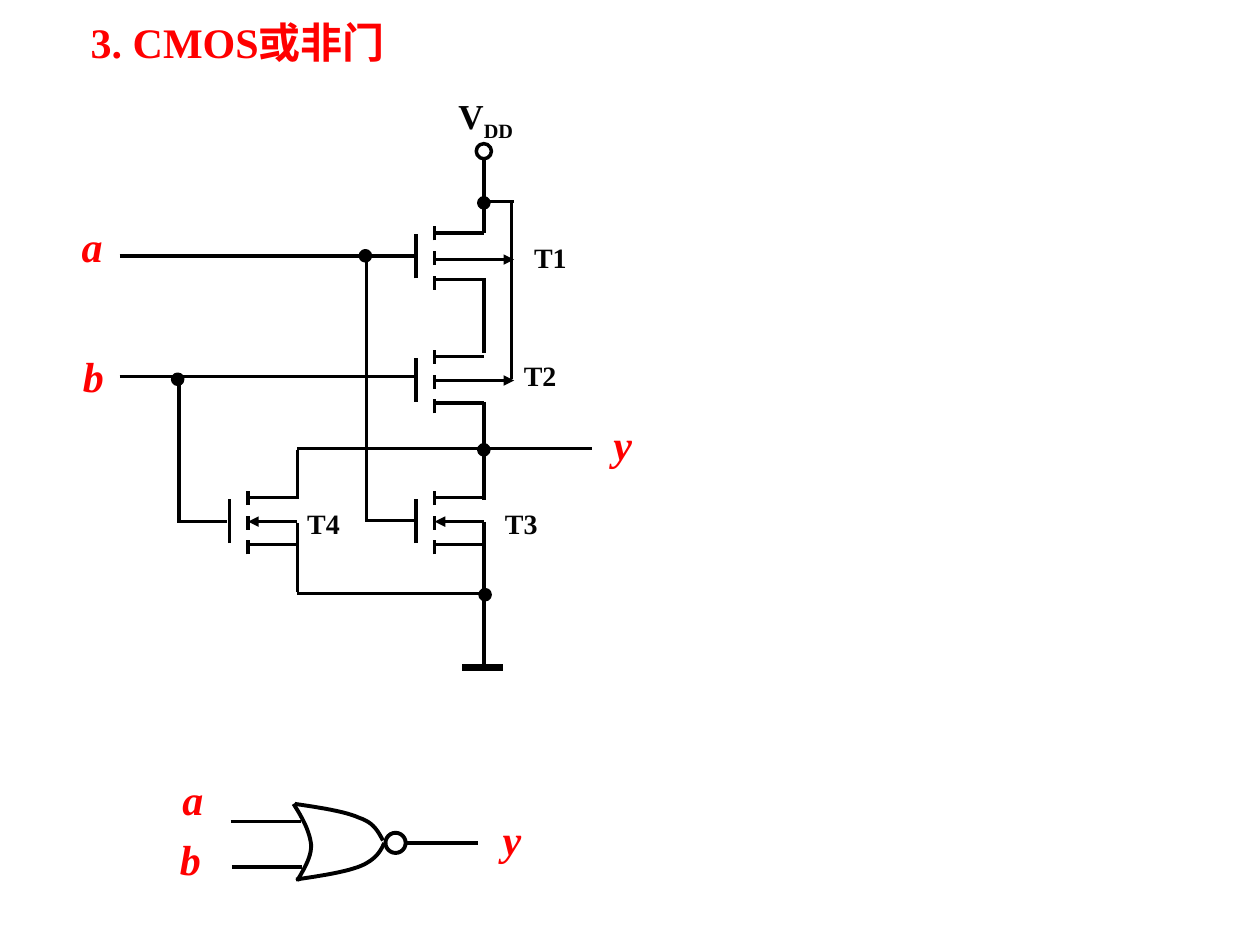
from dataclasses import dataclass

from lxml import etree
from pptx import Presentation
from pptx.dml.color import RGBColor
from pptx.enum import dml, shapes, text
from pptx.oxml import ns
from pptx.util import Inches, Pt

RED, INK, BLACK, WHITE = "FF0000", "040404", "000000", "FFFFFF"
FONT = "Times New Roman"


@dataclass
class Mos:
    """A transistor: channel x, centre y, arrow y and channel type."""
    x: float
    y: float
    arrow: float
    p_type: bool


@dataclass
class Label:
    words: str
    x: float
    y: float
    w: float = 0.56
    h: float = 0.7


def color(code: str) -> RGBColor:
    return RGBColor.from_string(code)


def write(frame, words: str, size: float = 24, ink: str = RED,
          italic: bool = False, wrap: bool = True, sub: str = "") -> None:
    frame.word_wrap = wrap
    frame.auto_size = text.MSO_AUTO_SIZE.NONE
    frame.vertical_anchor = text.MSO_ANCHOR.TOP
    para = frame.paragraphs[0]
    para.alignment = text.PP_ALIGN.LEFT
    for part in filter(None, (words, sub)):
        run = para.add_run()
        run.text = part
        font = run.font
        font.name, font.size, font.bold, font.italic = FONT, Pt(size), True, italic
        font.color.rgb = color(ink)
        if part == sub:
            font._element.set("baseline", "-25000")


def label(slide, item: Label, **style) -> None:
    box = slide.shapes.add_textbox(*map(Inches, (item.x, item.y, item.w, item.h)))
    write(box.text_frame, item.words, **style)


def wire(slide, x1: float, y1: float, x2: float, y2: float,
         width: float = 2, dash: bool = False, arrow: bool = False) -> None:
    line = slide.shapes.add_connector(
        shapes.MSO_CONNECTOR.STRAIGHT, *map(Inches, (x1, y1, x2, y2)))
    line.line.color.rgb = color(BLACK)
    line.line.width = Pt(width)
    if dash:
        line.line.dash_style = dml.MSO_LINE.DASH
    if arrow:
        etree.SubElement(line.line._get_or_add_ln(), ns.qn("a:tailEnd"), type="triangle")
    etree.SubElement(line._element.spPr, ns.qn("a:effectLst"))


def ring(slide, x: float, y: float, size: float,
         fill: str = "", width: float = 2) -> None:
    """Draw a circle around the centre x, y."""
    dot = slide.shapes.add_shape(
        shapes.MSO_SHAPE.OVAL, *map(Inches, (x - size / 2, y - size / 2, size, size)))
    dot.shadow.inherit = False
    if fill:
        dot.fill.solid()
        dot.fill.fore_color.rgb = color(fill)
    else:
        dot.fill.background()
    dot.line.color.rgb = color(BLACK)
    dot.line.width = Pt(width)


def mos(slide, part: Mos) -> None:
    x, y, end = part.x, part.y, part.x + 0.39
    wire(slide, x - 0.15, y + 0.18, x - 0.15, y - 0.17)
    wire(slide, x, y + 0.27, x, y - 0.27, dash=True)
    for lead in (y - 0.18, y + 0.19):
        wire(slide, x, lead, end, lead)
    if part.p_type:
        wire(slide, x, part.arrow, 4.08, part.arrow, arrow=True)
    else:
        wire(slide, end, part.arrow, x, part.arrow, arrow=True)


def curve(slide, *knots: tuple, steps: int = 12) -> None:
    """Draw joined cubic arcs: a start, then three points for each arc."""
    points = []
    for first in range(0, len(knots) - 1, 3):
        arc = knots[first:first + 4]
        for step in range(1, steps + 1):
            t = step / steps
            mix = ((1 - t) ** 3, 3 * t * (1 - t) ** 2, 3 * t * t * (1 - t), t ** 3)
            points.append(tuple(
                Inches(sum(m * knot[axis] for m, knot in zip(mix, arc)))
                for axis in (0, 1)))
    path = slide.shapes.build_freeform(*map(Inches, knots[0]))
    path.add_line_segments(points, close=False)
    edge = path.convert_to_shape()
    edge.shadow.inherit = False
    edge.fill.background()
    edge.line.color.rgb = color(BLACK)
    edge.line.width = Pt(2.25)


def circuit(slide) -> None:
    # Transistors T1 to T4
    for part in (Mos(3.45, 2.03, 2.06, True), Mos(3.45, 3.01, 3.02, True),
                 Mos(3.45, 4.13, 4.14, False), Mos(1.97, 4.13, 4.14, False)):
        mos(slide, part)

    # Wires: inputs, supply, output, ground
    for ends in (
        (0.95, 2.03, 3.3, 2.03), (2.91, 4.14, 2.91, 2.03), (2.91, 4.13, 3.3, 4.13),
        (0.95, 2.99, 3.3, 2.99), (1.42, 4.15, 1.42, 2.99), (1.42, 4.14, 1.8, 4.14),
        (3.84, 1.85, 3.84, 1.26), (3.84, 1.6, 4.08, 1.6), (4.06, 3.01, 4.06, 1.6),
        (3.84, 2.8, 3.84, 2.21), (3.84, 3.19, 3.84, 3.97), (2.36, 3.56, 4.7, 3.56),
        (2.36, 3.96, 2.36, 3.57), (2.36, 4.7, 2.36, 4.15), (2.36, 4.71, 3.84, 4.71),
        (3.84, 5.31, 3.84, 4.14),
    ):
        wire(slide, *ends)
    wire(slide, 3.67, 5.3, 3.99, 5.3, width=4)

    # Junctions and supply terminal
    for x, y in ((3.84, 1.61), (2.9, 2.03), (1.41, 3.01), (3.84, 3.57), (3.85, 4.72)):
        ring(slide, x, y, 0.08, fill=BLACK)
    ring(slide, 3.84, 1.2, 0.12, fill=WHITE)

    # Labels
    for name, x, y in (("T1", 4.14, 1.86), ("T2", 4.06, 2.8),
                       ("T3", 3.91, 3.97), ("T4", 2.34, 3.97)):
        label(slide, Label(name, x, y, 0.46, 0.37), size=16, ink=INK, wrap=False)
    label(slide, Label("V", 3.54, 0.7, 0.68, 0.44), size=20, ink=INK, sub="DD")
    for item in (Label("a", 0.55, 1.7), Label("b", 0.56, 2.73, h=0.5),
                 Label("y", 4.77, 3.27)):
        label(slide, item, italic=True)


def gate(slide) -> None:
    # NOR symbol: top, bottom and back edges
    curve(slide, (2.34, 6.38), (2.54, 6.41), (2.74, 6.44), (2.85, 6.49),
          (2.97, 6.53), (3, 6.6), (3.04, 6.67))
    curve(slide, (2.35, 6.98), (2.55, 6.95), (2.75, 6.92), (2.87, 6.87),
          (2.98, 6.82), (3.02, 6.76), (3.05, 6.69))
    curve(slide, (2.33, 6.38), (2.4, 6.49), (2.46, 6.6), (2.47, 6.71),
          (2.47, 6.81), (2.41, 6.9), (2.36, 6.99))
    ring(slide, 3.14, 6.69, 0.16, width=2.25)
    for x, y in ((1.83, 6.52), (1.84, 6.88), (3.23, 6.69)):
        wire(slide, x, y, x + 0.56, y, width=2.25)
    for item in (Label("a", 1.35, 6.09, 0.64), Label("b", 1.33, 6.57, 0.64),
                 Label("y", 3.89, 6.41, 0.64, 0.5)):
        label(slide, item, italic=True)


def main() -> None:
    deck = Presentation()
    deck.slide_width, deck.slide_height = Inches(10), Inches(7.5)
    slide = deck.slides.add_slide(deck.slide_layouts[5])

    # Title
    title = slide.shapes.title
    title.left, title.top, title.width, title.height = map(
        Inches, (0.62, 0.08, 2.56, 0.51))
    write(title.text_frame, "3. CMOS或非门")

    circuit(slide)
    gate(slide)
    deck.save("out.pptx")


if __name__ == "__main__":
    main()
